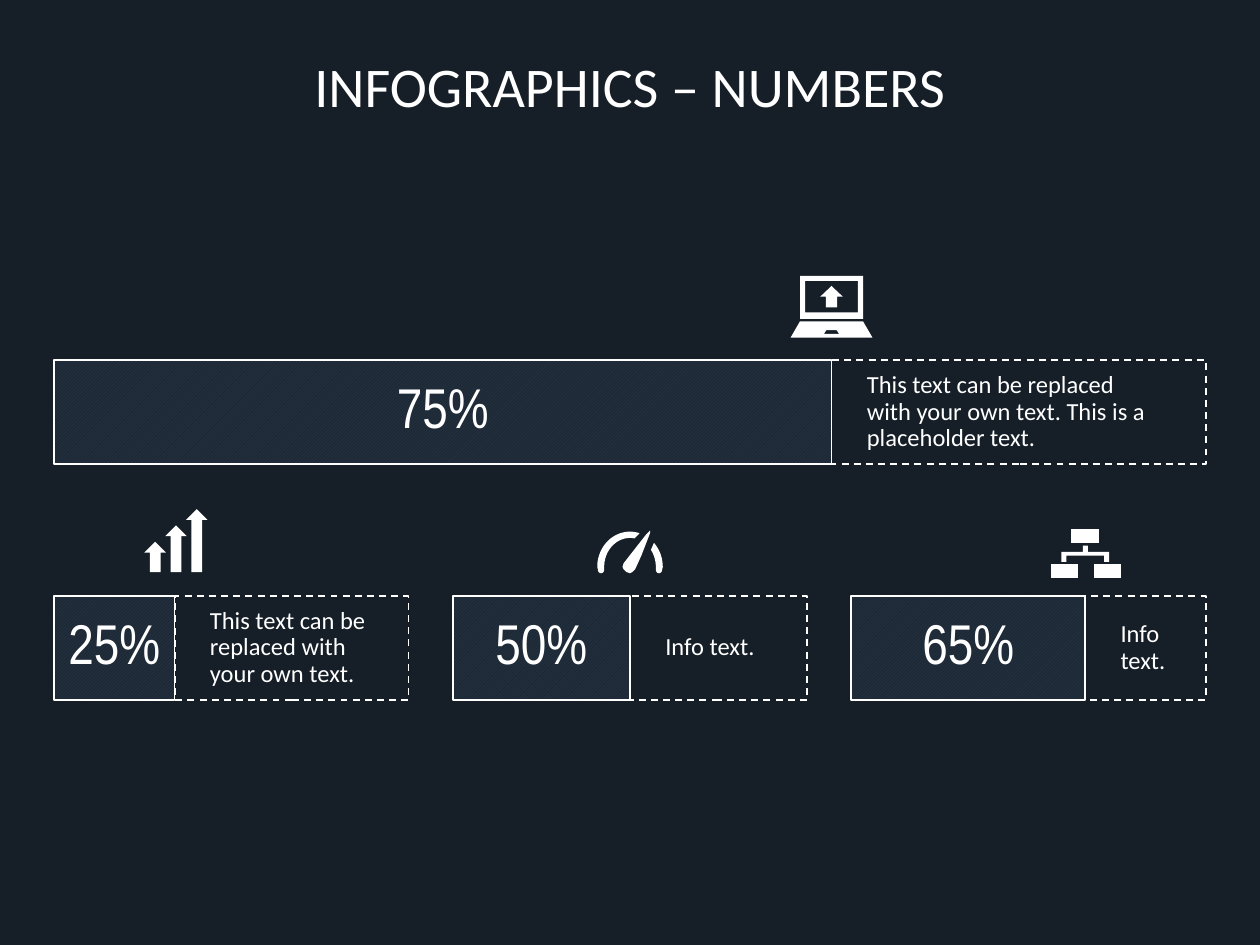
from dataclasses import dataclass
from math import cos, radians, sin
from typing import Callable

from pptx import Presentation
from pptx.dml.color import RGBColor
from pptx.enum.dml import MSO_LINE, MSO_PATTERN
from pptx.enum.shapes import MSO_SHAPE as Preset
from pptx.enum.text import MSO_ANCHOR as Anchor, PP_ALIGN as Align
from pptx.util import Inches, Pt

WHITE = RGBColor(0xFF, 0xFF, 0xFF)
NIGHT = RGBColor(0x16, 0x1F, 0x28)
SLATE = RGBColor(0x21, 0x2E, 0x3C)

SLIDE_W, SLIDE_H = 10, 7.5
MARGIN = 0.043 * SLIDE_W
CONTENT_W = SLIDE_W - 2 * MARGIN
COLUMNS = 3
GUTTER = 0.035 * SLIDE_W
COLUMN_W = (CONTENT_W - (COLUMNS - 1) * GUTTER) / COLUMNS
BAR_H = 0.11 * SLIDE_H
ROW_TOP, ROW_STEP = 2.86, 1.87

Point = tuple[float, float]
Contour = list[Point]


@dataclass
class Bar:
    row: int
    column: int
    span: int
    share: float
    number: str
    note: str
    icon: Callable[[float, float], None]


def style_paragraph(frame, text: str, font: str, size: int, align, spacing: float) -> None:
    paragraph = frame.paragraphs[0]
    paragraph.text = text
    paragraph.alignment = align
    paragraph.line_spacing = spacing
    paragraph.font.name = font
    paragraph.font.size = Pt(size)
    paragraph.font.color.rgb = WHITE


def set_insets(frame, side: float) -> None:
    frame.margin_left = frame.margin_right = Inches(side)
    frame.margin_top = frame.margin_bottom = 0


def add_preset(kind, x: float, y: float, w: float, h: float):
    shape = slide.shapes.add_shape(kind, Inches(x), Inches(y), Inches(w), Inches(h))
    shape.shadow.inherit = False
    return shape


def fill_white(shape) -> None:
    shape.fill.solid()
    shape.fill.fore_color.rgb = WHITE
    shape.line.fill.background()


def add_outline(x: float, y: float, *contours: Contour) -> None:
    scaled = [[(Inches(x + dx), Inches(y + dy)) for dx, dy in contour]
              for contour in contours]
    builder = slide.shapes.build_freeform(*scaled[0][0])
    builder.add_line_segments(scaled[0][1:], close=True)
    for contour in scaled[1:]:
        builder.move_to(*contour[0])
        builder.add_line_segments(contour[1:], close=True)
    outline = builder.convert_to_shape()
    outline.shadow.inherit = False
    fill_white(outline)


def box(left: float, top: float, right: float, bottom: float) -> Contour:
    return [(left, top), (right, top), (right, bottom), (left, bottom)]


def arc(rx: float, ry: float, start: float, end: float,
        cx: float = 0, cy: float = 0, steps: int = 24) -> Contour:
    angles = [radians(start + (end - start) * i / steps) for i in range(steps + 1)]
    return [(cx + rx * cos(a), cy - ry * sin(a)) for a in angles]


def draw_growth(x: float, bar_top: float) -> None:
    width = 0.17
    for i, height in enumerate((0.24, 0.37, 0.5)):
        arrow = add_preset(Preset.DOWN_ARROW, x - 0.24 + i * 0.165,
                           bar_top - 0.19 - height, width, height)
        arrow.rotation = 180
        fill_white(arrow)


def draw_gauge(x: float, bar_top: float) -> None:
    hub = bar_top - 0.23
    needle = [(-0.05, -0.03), (-0.06, 0), (-0.05, 0.02), (-0.03, 0.04), (0, 0.05),
              (0.02, 0.04), (0.04, 0.02), (0.09, -0.09), (0.16, -0.27), (0.16, -0.29),
              (0.13, -0.26)]
    foot_x, foot_y = 0.23, 0.02
    left_band = (arc(0.26, 0.28, 73, 180)
                 + arc(0.025, 0.03, 180, 360, -foot_x, foot_y)
                 + arc(0.205, 0.23, 180, 80))
    right_band = (arc(0.26, 0.28, 43, 0)
                  + arc(0.025, 0.03, 0, -180, foot_x, foot_y)
                  + arc(0.205, 0.23, 0, 36))
    add_outline(x, hub, needle, left_band, right_band)


def draw_hierarchy(x: float, bar_top: float) -> None:
    top = bar_top - 0.53
    add_outline(x, top, box(-0.11, 0, 0.11, 0.11))
    for left in (-0.27, 0.07):
        add_outline(x, top, box(left, 0.28, left + 0.21, 0.39))
    half = [(0.02, 0.13), (0.02, 0.18), (0.19, 0.18), (0.19, 0.26),
            (0.15, 0.26), (0.15, 0.21)]
    add_outline(x, top, half + [(-dx, dy) for dx, dy in reversed(half)])


def draw_laptop(x: float, bar_top: float) -> None:
    top = bar_top - 0.67
    keyboard = [(-0.25, 0.36), (0.25, 0.36), (0.325, 0.49), (-0.325, 0.49)]
    touchpad = [(-0.04, 0.43), (0.04, 0.43), (0.06, 0.46), (-0.06, 0.46)]
    add_outline(x, top, keyboard, touchpad)
    add_outline(x, top, box(-0.25, 0, 0.25, 0.34), box(-0.21, 0.04, 0.21, 0.29))
    fill_white(add_preset(Preset.UP_ARROW, x - 0.09, top + 0.08, 0.18, 0.17))


def draw_bar(bar: Bar) -> None:
    left = MARGIN + bar.column * (COLUMN_W + GUTTER)
    top = ROW_TOP + bar.row * ROW_STEP
    width = bar.span * COLUMN_W + (bar.span - 1) * GUTTER
    done = width * bar.share

    number = add_preset(Preset.RECTANGLE, left, top, done, BAR_H)
    number.fill.patterned()
    number.fill.pattern = MSO_PATTERN.LIGHT_UPWARD_DIAGONAL
    number.fill.fore_color.rgb = NIGHT
    number.fill.back_color.rgb = SLATE
    style_paragraph(number.text_frame, bar.number, "Arial Narrow", 32, Align.CENTER, 0.8)

    note = add_preset(Preset.RECTANGLE, left + done, top, width - done, BAR_H)
    note.fill.background()
    note.line.dash_style = MSO_LINE.DASH
    set_insets(note.text_frame, 0.28)
    style_paragraph(note.text_frame, bar.note, "Calibri", 14, Align.LEFT, 0.9)
    note.text_frame.paragraphs[0].space_after = Pt(10)

    for part in (number, note):
        part.line.color.rgb = WHITE
        part.line.width = Pt(1)
        part.text_frame.vertical_anchor = Anchor.MIDDLE
    bar.icon(left + done, top)


BARS = [
    Bar(1, 0, 1, 0.34, "25%", "This text can be replaced with your own text.", draw_growth),
    Bar(1, 1, 1, 0.5, "50%", "Info text.", draw_gauge),
    Bar(1, 2, 1, 0.66, "65%", "Info text.", draw_hierarchy),
    Bar(0, 0, 3, 0.675, "75%",
        "This text can be replaced \vwith your own text. This is a placeholder text.",
        draw_laptop),
]

deck = Presentation()
deck.slide_width, deck.slide_height = Inches(SLIDE_W), Inches(SLIDE_H)
slide = deck.slides.add_slide(deck.slide_layouts[5])
slide.background.fill.solid()
slide.background.fill.fore_color.rgb = NIGHT

title = slide.shapes.title
title.left, title.top = Inches(MARGIN), Inches(0.47)
title.width, title.height = Inches(CONTENT_W), Inches(1.18)
title.text_frame.vertical_anchor = Anchor.TOP
set_insets(title.text_frame, 0)
style_paragraph(title.text_frame, "INFOGRAPHICS – NUMBERS", "Calibri", 32, Align.CENTER, 0.9)

for bar in BARS:
    draw_bar(bar)

deck.save("out.pptx")
